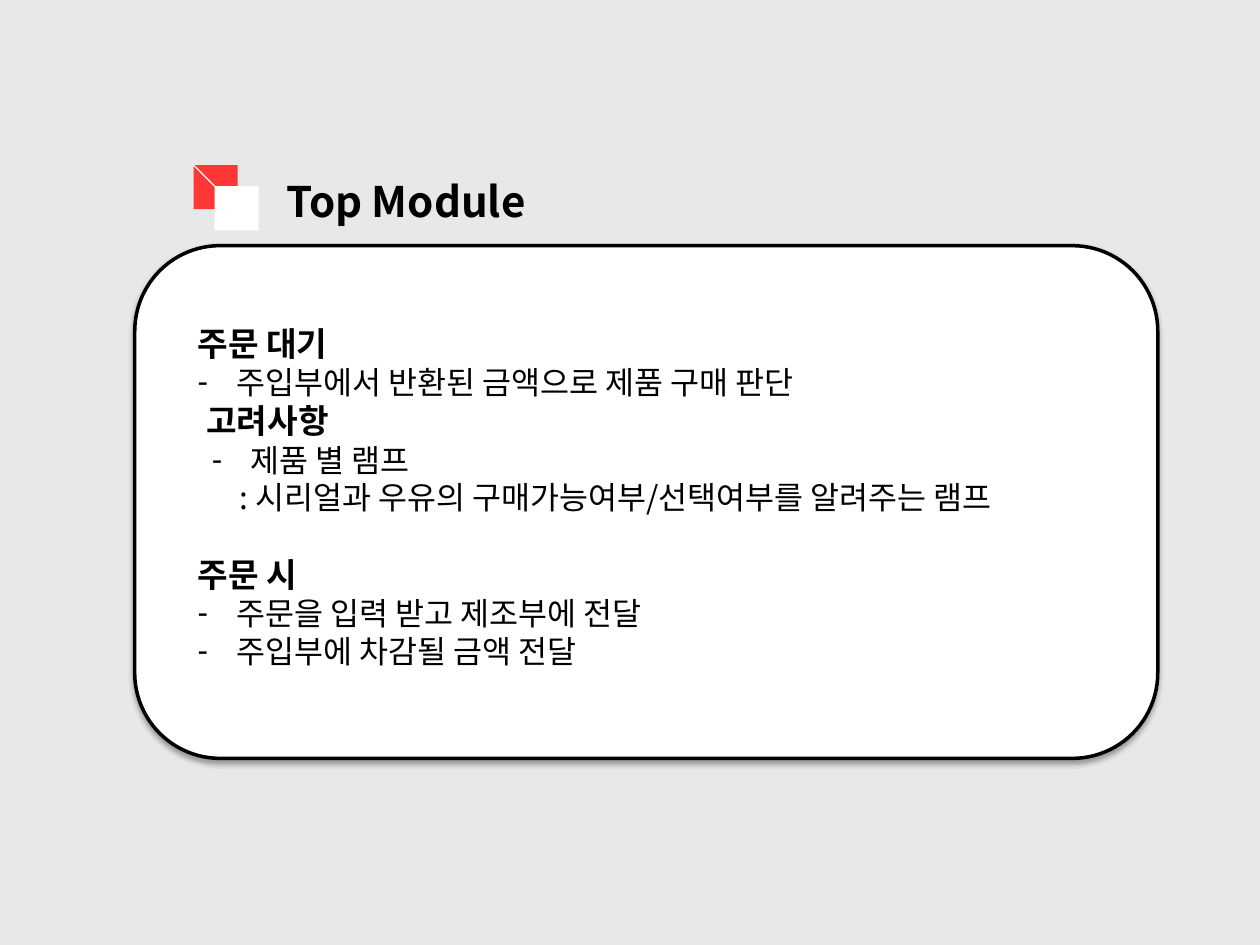
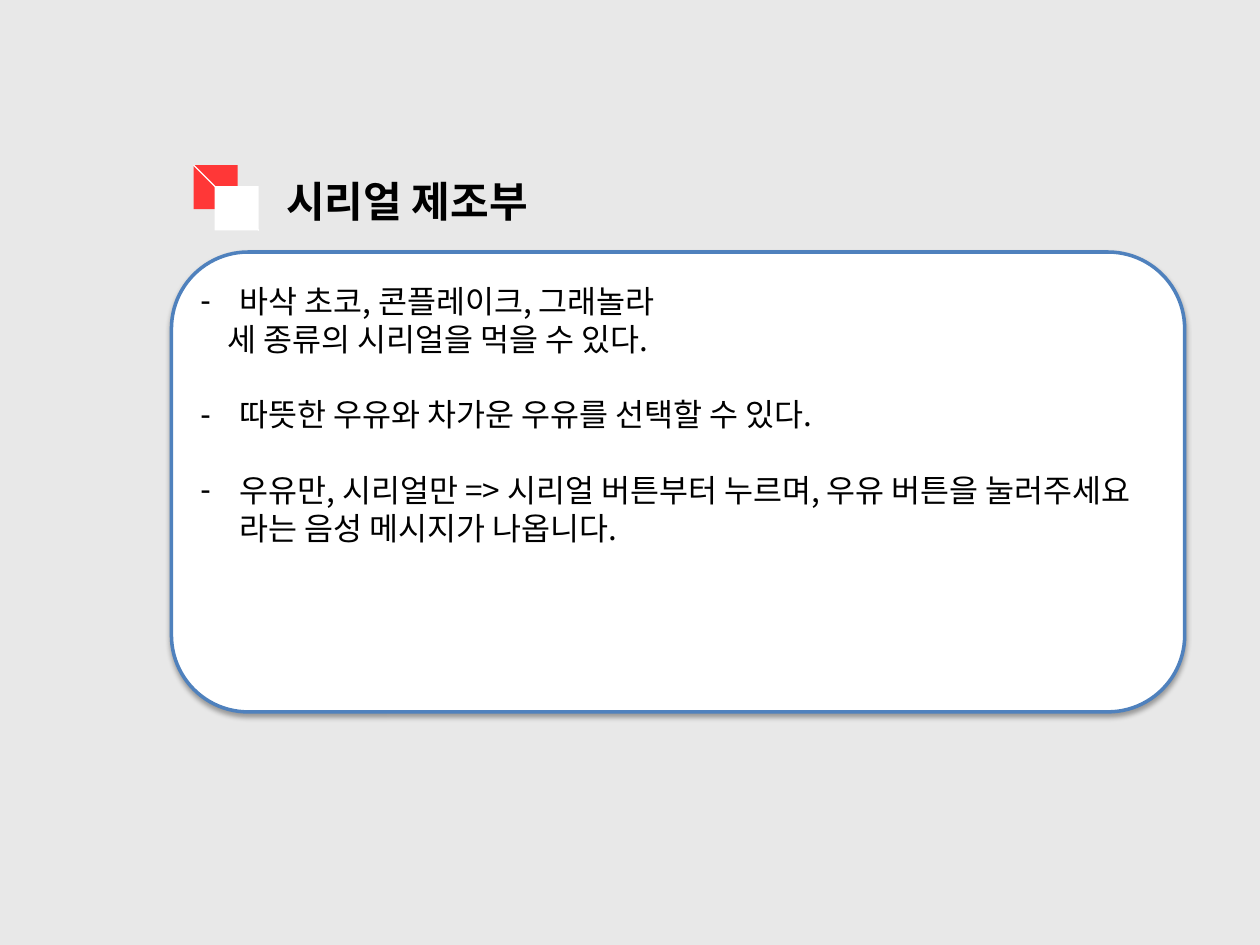
"""Build two slides that describe the modules of a cereal vending machine."""
from lxml import etree
from pptx import Presentation
from pptx.dml.color import RGBColor
from pptx.enum.shapes import MSO_CONNECTOR, MSO_SHAPE
from pptx.enum.text import MSO_ANCHOR, MSO_AUTO_SIZE, PP_ALIGN
from pptx.oxml.ns import qn
from pptx.util import Pt

RECTANGLE = MSO_SHAPE.RECTANGLE
ROUNDED = MSO_SHAPE.ROUNDED_RECTANGLE
STRAIGHT = MSO_CONNECTOR.STRAIGHT
TOP = MSO_ANCHOR.TOP
LEFT = PP_ALIGN.LEFT
NO_AUTOFIT = MSO_AUTO_SIZE.NONE

COLORS = {"background": "E8E8E8", "accent": "FF3737", "white": "FFFFFF",
          "black": "000000", "blue": "4F81BD"}
COLORS = {name: RGBColor.from_string(value) for name, value in COLORS.items()}
FONT = "Noto Sans CJK KR"
LINE_FACTOR = 1.2
INSET = 3.6
SQUARE = 25.2
HANG = 22.3
GAP = 21.6

PAGES = [
    {"title": "Top Module", "outline": "black",
     "card": (77, 140.4, 584.6, 293), "body": (109.4, 181, 528, 207),
     "lines": [
         ("주문 대기", 19, True, 0, "", 0),
         ("주입부에서 반환된 금액으로 제품 구매 판단", 18, False, HANG, "-", 0),
         ("고려사항", 19, True, 5, "", 0),
         ("제품 별 램프", 18, False, 30.4, "-", 0),
         (": 시리얼과 우유의 구매가능여부/선택여부를 알려주는 램프", 18, False, 24, "", 0),
         ("주문 시", 19, True, 0, "", GAP),
         ("주문을 입력 받고 제조부에 전달", 18, False, HANG, "-", 0),
         ("주입부에 차감될 금액 전달", 18, False, HANG, "-", 0)]},
    {"title": "시리얼 제조부", "outline": "blue",
     "card": (98, 144, 579, 262.8), "body": (110.9, 157.5, 547, 160),
     "lines": [
         ("바삭 초코, 콘플레이크, 그래놀라", 18, False, HANG, "-", 0),
         ("세 종류의 시리얼을 먹을 수 있다.", 18, False, 15.5, "", 0),
         ("따뜻한 우유와 차가운 우유를 선택할 수 있다.", 18, False, HANG, "-", GAP),
         ("우유만, 시리얼만 => 시리얼 버튼부터 누르며, 우유 버튼을 "
          "눌러주세요 라는 음성 메시지가 나옵니다.", 18, False, HANG, "-", GAP)]},
]


def place_text(box, bounds, wrap):
    box.left, box.top, box.width, box.height = [Pt(length) for length in bounds]
    frame = box.text_frame
    frame.margin_left = frame.margin_right = Pt(INSET)
    frame.margin_top = frame.margin_bottom = Pt(INSET)
    frame.vertical_anchor = TOP
    frame.auto_size = NO_AUTOFIT
    frame.word_wrap = wrap
    return frame


def write_line(para, text, size, bold, margin=0, bullet="", before=0):
    properties = para._p.get_or_add_pPr()
    properties.set("marL", str(Pt(margin)))
    properties.set("indent", str(Pt(-HANG) if bullet else 0))
    if bullet:
        etree.SubElement(properties, qn("a:buChar"), char=bullet)
    else:
        etree.SubElement(properties, qn("a:buNone"))
    para.alignment = LEFT
    para.space_before = Pt(before)
    para.line_spacing = Pt(size * LINE_FACTOR)
    span = para.add_run()
    span.text = text
    span.font.size = Pt(size)
    span.font.bold = bold
    span.font.name = FONT
    span.font.color.rgb = COLORS["black"]
    etree.SubElement(span._r.get_or_add_rPr(), qn("a:ea"), typeface=FONT)


deck = Presentation()
deck.slide_width, deck.slide_height = Pt(720), Pt(540)
background = deck.slide_master.background.fill
background.solid()
background.fore_color.rgb = COLORS["background"]

for page in PAGES:
    slide = deck.slides.add_slide(deck.slide_layouts[1])
    title, body = slide.shapes.title, slide.placeholders[1]

    card = slide.shapes.add_shape(ROUNDED, *[Pt(length) for length in page["card"]])
    card.fill.solid()
    card.fill.fore_color.rgb = COLORS["white"]
    card.line.color.rgb = COLORS[page["outline"]]
    card.line.width = Pt(2)
    effects = etree.SubElement(card._element.spPr, qn("a:effectLst"))
    shadow = etree.SubElement(effects, qn("a:outerShdw"), blurRad=str(Pt(3)),
                              dist=str(Pt(1.8)), dir="5400000", rotWithShape="0")
    tint = etree.SubElement(shadow, qn("a:srgbClr"), val=str(COLORS["black"]))
    etree.SubElement(tint, qn("a:alpha"), val="35000")
    title._element.addprevious(card._element)

    for left, top, color in [(110.6, 94.3, "accent"), (122.6, 106.4, "white")]:
        square = slide.shapes.add_shape(RECTANGLE, Pt(left), Pt(top), Pt(SQUARE), Pt(SQUARE))
        square.shadow.inherit = False
        square.fill.solid()
        square.fill.fore_color.rgb = COLORS[color]
        square.line.fill.background()

    diagonal = slide.shapes.add_connector(STRAIGHT, Pt(110.6), Pt(94.3), Pt(148), Pt(131.7))
    diagonal.line.color.rgb = COLORS["white"]
    diagonal.line.width = Pt(0.75)
    etree.SubElement(diagonal._element.spPr, qn("a:effectLst"))

    heading = place_text(title, (160, 96.5, 161, 36), False)
    write_line(heading.paragraphs[0], page["title"], 24, True)

    frame = place_text(body, page["body"], True)
    for index, line in enumerate(page["lines"]):
        para = frame.add_paragraph() if index else frame.paragraphs[0]
        write_line(para, *line)

deck.save("out.pptx")
